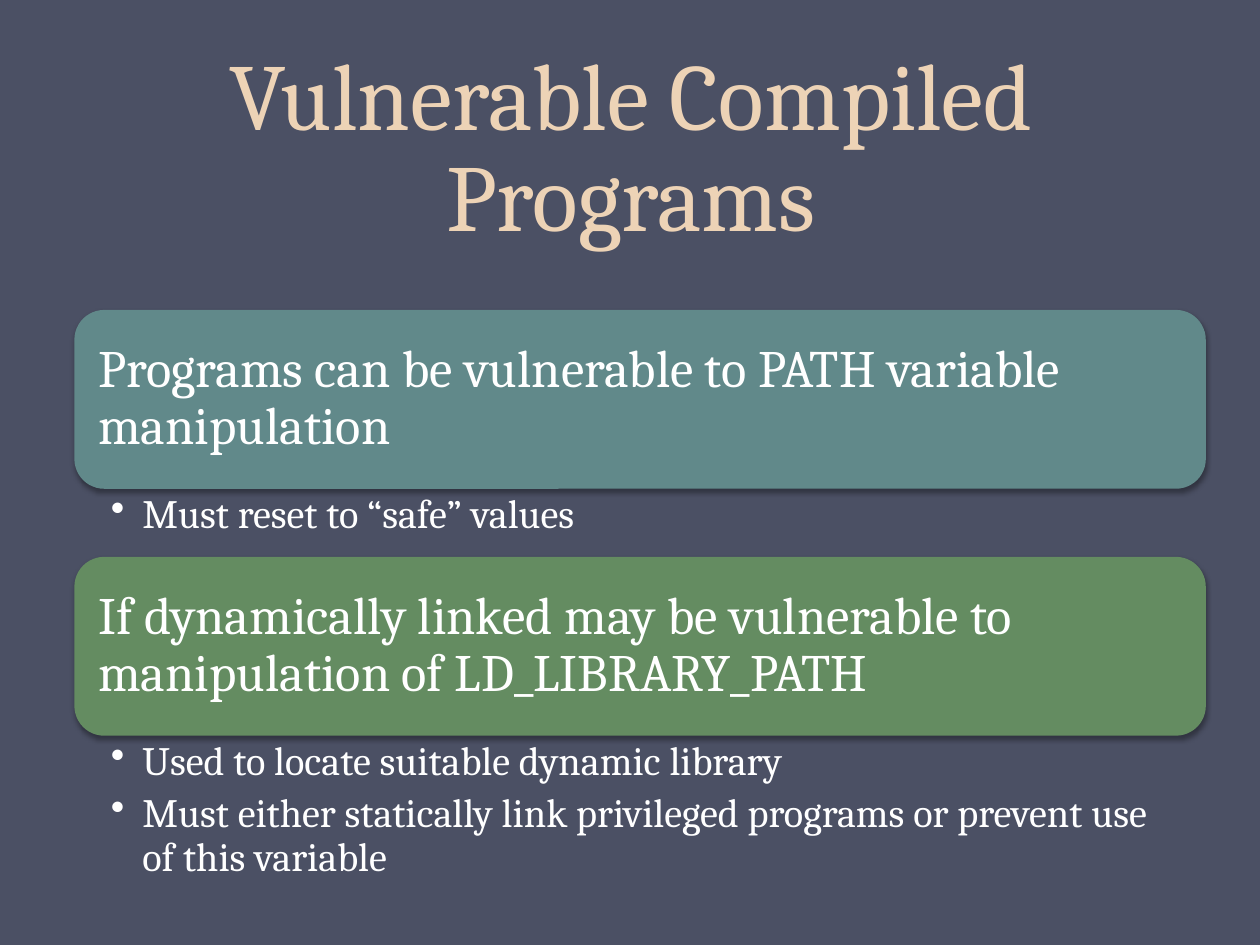
from lxml import etree
from pptx import Presentation
from pptx.dml.color import RGBColor
from pptx.enum.shapes import MSO_SHAPE as Shape
from pptx.enum.text import MSO_ANCHOR as Anchor, MSO_AUTO_SIZE as Fit, PP_ALIGN as Align
from pptx.oxml import parse_xml
from pptx.oxml.ns import nsdecls, qn
from pptx.util import Inches, Pt

WIDE, HIGH = Inches(10), Inches(7.5)
FONT = "Cambria"
COLORS = {"back": "4B5064", "title": "EDD3B6", "text": "FFFFFF",
          "teal": "61898A", "green": "648C61", "shade": "000000"}

# Shares of the slide, in percent
LEFT, SPAN = 5.9, 89.8
TOP, BAR = 32.8, 18.93

TOPICS = [
    ("teal", "Programs can be vulnerable to PATH variable manipulation", 7.2,
     ["Must reset to “safe” values"]),
    ("green", "If dynamically linked may be vulnerable to manipulation of LD_LIBRARY_PATH", 18.13,
     ["Used to locate suitable dynamic library",
      "Must either statically link privileged programs or prevent use of this variable"]),
]


def color(name):
    return RGBColor.from_string(COLORS[name])


def area(left, top, width, height):
    """Turn percent shares of the slide into lengths."""
    return (int(WIDE * left / 100), int(HIGH * top / 100),
            int(WIDE * width / 100), int(HIGH * height / 100))


def set_frame(frame, anchor, left, top, right, bottom):
    frame.word_wrap = True
    frame.auto_size = Fit.NONE
    frame.vertical_anchor = anchor
    frame.margin_left, frame.margin_top = Inches(left), Inches(top)
    frame.margin_right, frame.margin_bottom = Inches(right), Inches(bottom)


def write(para, text, size, tint, space, align=Align.LEFT):
    para.alignment = align
    para.line_spacing = space
    run = para.add_run()
    run.text = text
    run.font.name = FONT
    run.font.size = Pt(size)
    run.font.color.rgb = color(tint)


def add_shade(shape):
    shape._element.spPr.append(parse_xml(
        f'<a:effectLst {nsdecls("a")}>'
        f'<a:outerShdw blurRad="{Pt(3.1)}" dist="{Pt(1.8)}" dir="5400000" rotWithShape="0">'
        f'<a:srgbClr val="{COLORS["shade"]}"><a:alpha val="35000"/></a:srgbClr>'
        '</a:outerShdw></a:effectLst>'))


def add_title(slide, text):
    title = slide.shapes.title
    title.left, title.top, title.width, title.height = area(5.1, 3.87, 90, 23.33)
    set_frame(title.text_frame, Anchor.BOTTOM, 0.1, 0.05, 0.1, 0.05)
    write(title.text_frame.paragraphs[0], text, 54, "title", Pt(58), Align.CENTER)


def add_bar(slide, top, tint, text):
    bar = slide.shapes.add_shape(Shape.ROUNDED_RECTANGLE, *area(LEFT, top, SPAN, BAR))
    bar.fill.solid()
    bar.fill.fore_color.rgb = color(tint)
    bar.line.fill.background()
    add_shade(bar)
    set_frame(bar.text_frame, Anchor.MIDDLE, 0.12, 0.12, 0.12, 0.12)
    write(bar.text_frame.paragraphs[0], text, 30, "text", 0.9)


def add_points(slide, top, height, points):
    frame = slide.shapes.add_textbox(*area(LEFT, top, SPAN, height)).text_frame
    set_frame(frame, Anchor.TOP, 0.29, 0.04, 0.23, 0.04)
    for index, text in enumerate(points):
        para = frame.add_paragraph() if index else frame.paragraphs[0]
        para.level = 1
        para.space_after = Pt(5)
        write(para, text, 23, "text", 0.9)
        props = para._p.get_or_add_pPr()
        props.set("marL", str(Inches(0.25)))
        props.set("indent", str(-Inches(0.25)))
        etree.SubElement(props, qn("a:buChar")).set("char", "•")


def main():
    deck = Presentation()
    deck.slide_width, deck.slide_height = WIDE, HIGH
    slide = deck.slides.add_slide(deck.slide_layouts[5])
    slide.background.fill.solid()
    slide.background.fill.fore_color.rgb = color("back")
    add_title(slide, "Vulnerable Compiled Programs")
    top = TOP
    for tint, head, height, points in TOPICS:
        add_bar(slide, top, tint, head)
        add_points(slide, top + BAR, height, points)
        top += BAR + height
    deck.save("out.pptx")


if __name__ == "__main__":
    main()
